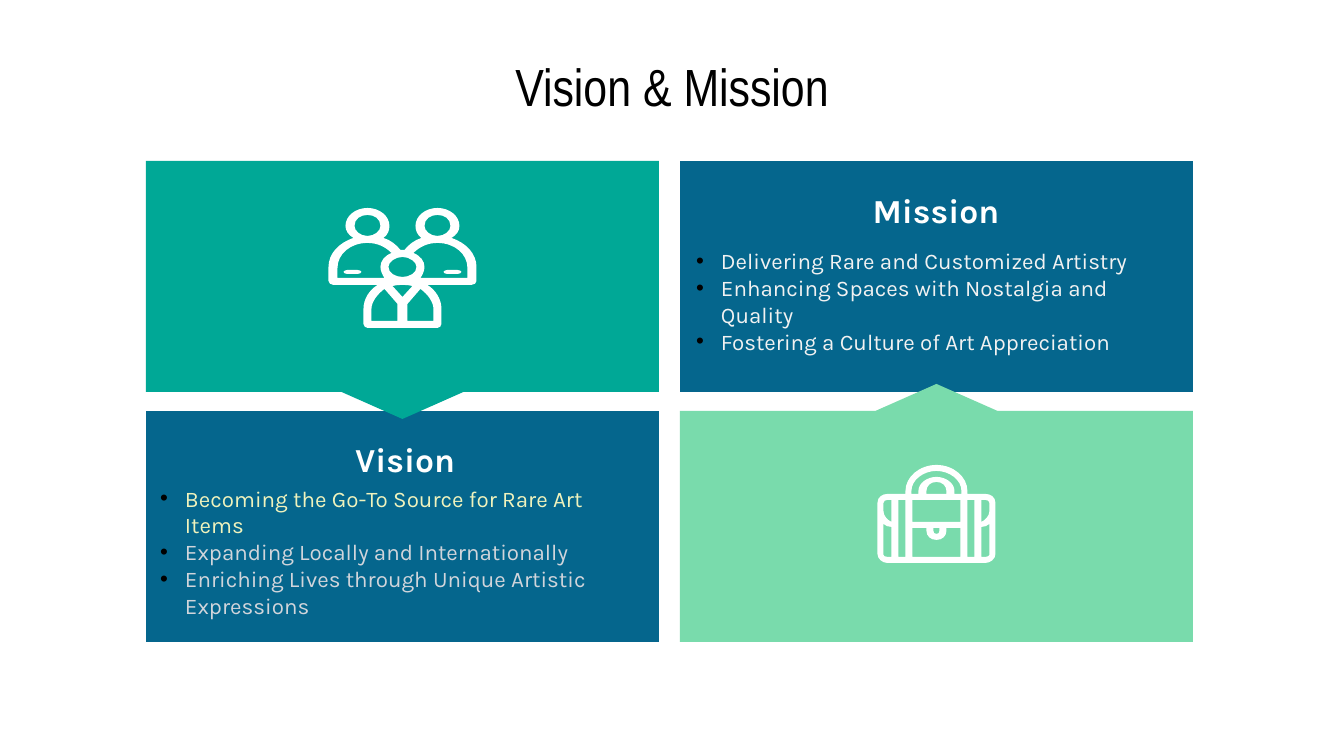
"""Build the Vision & Mission slide with two linked pairs of panels."""
import lxml.etree
import pptx
import pptx.dml.color
import pptx.enum.text
import pptx.oxml.ns
import pptx.util

PX = 914400 / 134.4
SLIDE = (1344, 756)
TITLE = ("Vision & Mission", (67, 61, 1210, 50))
PANEL_WIDTH, PANEL_HEIGHT, GAP = 513, 231, 19
TOP = 161
POINTER_HALF, POINTER_TIP = 61, 27
INSET, INDENT = 13, 25
NAVY, WHITE, PALE = "05668D", "FFFFFF", "F2F2F2"

BAG = {
    "halves": [
        [(0, 465), (17, 465, 31, 477, 31, 491), (31, 494), (49, 494),
         (54, 494, 59, 497, 59, 503), (59, 554), (59, 559, 54, 563, 49, 563), (0, 563)],
        [(0, 482), (6, 482, 10, 486, 10, 491), (10, 494)],
        [(0, 471), (13, 471, 25, 480, 25, 491), (25, 494), (18, 494),
         (18, 491), (18, 483, 9, 477, 0, 477)],
        [(24, 500), (24, 522)],
        [(3, 528), (3, 531), (3, 533, 2, 534, 0, 534)],
        [(0, 540), (6, 540, 10, 536, 10, 531), (10, 528), (24, 528), (24, 557)],
    ],
    "pairs": [
        [(31, 500), (38, 500), (38, 557), (31, 557)],
        [(45, 500), (49, 500), (51, 500, 53, 501, 53, 503), (53, 511),
         (53, 516, 49, 520, 45, 522)],
        [(53, 524), (53, 555), (53, 556, 51, 557, 49, 557), (45, 557), (45, 527),
         (48, 527, 51, 526, 53, 524)],
    ],
    "pockets": [],
}
PEOPLE = {
    "halves": [
        [(2, 250), (6, 245, 12, 240, 19, 238), (15, 235, 13, 231, 13, 226),
         (13, 216, 23, 208, 35, 208), (47, 208, 57, 216, 57, 226),
         (57, 231, 54, 235, 49, 238), (64, 243, 74, 254, 74, 267), (74, 281),
         (74, 283, 72, 285, 69, 285), (25, 285), (33, 290, 39, 299, 39, 309),
         (39, 324), (39, 326, 37, 328, 35, 328)],
        [(0, 257), (7, 257, 14, 262, 14, 267), (14, 273, 7, 277, 0, 277)],
        [(0, 285), (3, 285, 7, 285, 10, 286), (0, 297)],
    ],
    "pairs": [
        [(35, 215), (42, 215, 48, 219, 48, 226), (48, 231, 42, 236, 35, 236),
         (28, 236, 22, 231, 22, 226), (22, 219, 28, 215, 35, 215)],
        [(35, 243), (52, 243, 65, 254, 65, 268), (65, 278), (18, 278),
         (20, 275, 22, 271, 22, 267), (22, 261, 18, 256, 11, 253),
         (17, 247, 25, 243, 35, 243)],
        [(18, 289), (25, 294, 31, 302, 31, 309), (31, 321), (5, 321), (5, 304)],
    ],
    "pockets": [
        [(45, 270), (43, 270, 41, 271, 41, 272), (41, 273, 43, 274, 45, 274), (55, 274),
         (57, 274, 59, 273, 59, 272), (59, 271, 57, 270, 55, 270)],
    ],
}
COLUMNS = [
    {"left": 680, "text_row": 0, "accent": "79DBAC", "icon": BAG,
     "heading": ("Mission", (682, 193, 508, 35)), "bullet_box": (683, 234, 508, 134),
     "bullets": [("Delivering Rare and Customized Artistry", PALE),
                 ("Enhancing Spaces with Nostalgia and Quality", PALE),
                 ("Fostering a Culture of Art Appreciation", PALE)]},
    {"left": 146, "text_row": 1, "accent": "00A896", "icon": PEOPLE,
     "heading": ("Vision", (151, 442, 508, 35)), "bullet_box": (147, 471, 508, 162),
     "bullets": [("Becoming the Go-To Source for Rare Art Items", "F0F3BD"),
                 ("Expanding Locally and Internationally", "D1D5DB"),
                 ("Enriching Lives through Unique Artistic Expressions", "D1D5DB")]},
]


def emu(px):
    return pptx.util.Emu(round(px * PX))


def rgb(value):
    return pptx.dml.color.RGBColor.from_string(value)


def pairs_of(segment):
    return list(zip(segment[::2], segment[1::2]))


def mirror(contour):
    x, y = contour[-1][-2:]
    flipped = [(-x, y)]
    for before, segment in reversed(list(zip(contour, contour[1:]))):
        points = pairs_of(segment)[-2::-1] + [before[-2:]]
        flipped.append(tuple(value for x, y in points for value in (-x, y)))
    return flipped


def join(half):
    flipped = mirror(half)
    return half + (flipped[1:] if half[-1][-2] == 0 else flipped)


def bend(outline, contours):
    """Turn the three control lines of each cubic segment into one curve."""
    qn = pptx.oxml.ns.qn
    lines = outline._element.iter(qn("a:lnTo"))
    lines = iter(list(lines))
    for segment in (segment for contour in contours for segment in contour[1:]):
        group = [next(lines) for _ in pairs_of(segment)]
        if len(group) == 3:
            curve = lxml.etree.Element(qn("a:cubicBezTo"))
            group[0].addprevious(curve)
            for line in group:
                curve.append(line[0])
                line.getparent().remove(line)


def add_outline(slide, contours, axis, color):
    builder = None
    for contour in contours:
        start, *points = [(emu(axis + x), emu(y))
                          for segment in contour for x, y in pairs_of(segment)]
        if builder is None:
            builder = slide.shapes.build_freeform(*start, scale=1.0)
        else:
            builder.move_to(*start)
        builder.add_line_segments(points, close=True)
    outline = builder.convert_to_shape()
    bend(outline, contours)
    outline.shadow.inherit = False
    outline.fill.solid()
    outline.fill.fore_color.rgb = rgb(color)
    outline.line.fill.background()


def add_bullet(paragraph):
    properties = paragraph._p.get_or_add_pPr()
    properties.set("marL", str(emu(INDENT)))
    properties.set("indent", str(-emu(INDENT)))
    qn = pptx.oxml.ns.qn
    bullet_color = lxml.etree.SubElement(properties, qn("a:buClr"))
    lxml.etree.SubElement(bullet_color, qn("a:srgbClr"), val="000000")
    lxml.etree.SubElement(properties, qn("a:buFont"), typeface="Arial")
    lxml.etree.SubElement(properties, qn("a:buChar"), char="•")


def add_text(slide, box, lines, font, size, bold=False, bulleted=False):
    frame = slide.shapes.add_textbox(*map(emu, box)).text_frame
    frame.word_wrap = True
    frame.vertical_anchor = pptx.enum.text.MSO_ANCHOR.MIDDLE
    frame.margin_left = frame.margin_right = emu(INSET)
    frame.margin_top = frame.margin_bottom = emu(INSET)
    for number, (words, color) in enumerate(lines):
        paragraph = frame.add_paragraph() if number else frame.paragraphs[0]
        if bulleted:
            add_bullet(paragraph)
        else:
            paragraph.alignment = pptx.enum.text.PP_ALIGN.CENTER
        run = paragraph.add_run()
        run.text = words
        run.font.name, run.font.size, run.font.bold = font, pptx.util.Pt(size), bold
        run.font.color.rgb = rgb(color)


def add_column(slide, column):
    half = PANEL_WIDTH / 2
    axis = column["left"] + half
    row_tops = [TOP, TOP + PANEL_HEIGHT + GAP]
    text_top = row_tops[column["text_row"]]
    near = far = row_tops[1 - column["text_row"]]
    if column["text_row"]:
        near, tip = near + PANEL_HEIGHT, POINTER_TIP
    else:
        far, tip = far + PANEL_HEIGHT, -POINTER_TIP
    text_panel = [(half, text_top), (half, text_top + PANEL_HEIGHT)]
    icon_panel = [(0, near + tip), (POINTER_HALF, near), (half, near), (half, far)]
    add_outline(slide, [join(text_panel)], axis, NAVY)
    add_outline(slide, [join(icon_panel)], axis, column["accent"])

    words, box = column["heading"]
    add_text(slide, box, [(words, WHITE)], "Karla", 18, bold=True)
    add_text(slide, column["bullet_box"], column["bullets"], "Karla", 12, bulleted=True)

    icon = column["icon"]
    contours = [join(contour) for contour in icon["halves"]]
    for contour in icon["pairs"]:
        contours += [contour, mirror(contour)]
    add_outline(slide, contours, axis, WHITE)
    for pocket in icon["pockets"]:
        for contour in (pocket, mirror(pocket)):
            add_outline(slide, [contour], axis, WHITE)


def main():
    deck = pptx.Presentation()
    deck.slide_width, deck.slide_height = map(emu, SLIDE)
    slide = deck.slides.add_slide(deck.slide_layouts[6])
    words, box = TITLE
    add_text(slide, box, [(words, "000000")], "Arial Narrow", 28)
    for column in COLUMNS:
        add_column(slide, column)
    deck.save("out.pptx")


if __name__ == "__main__":
    main()
